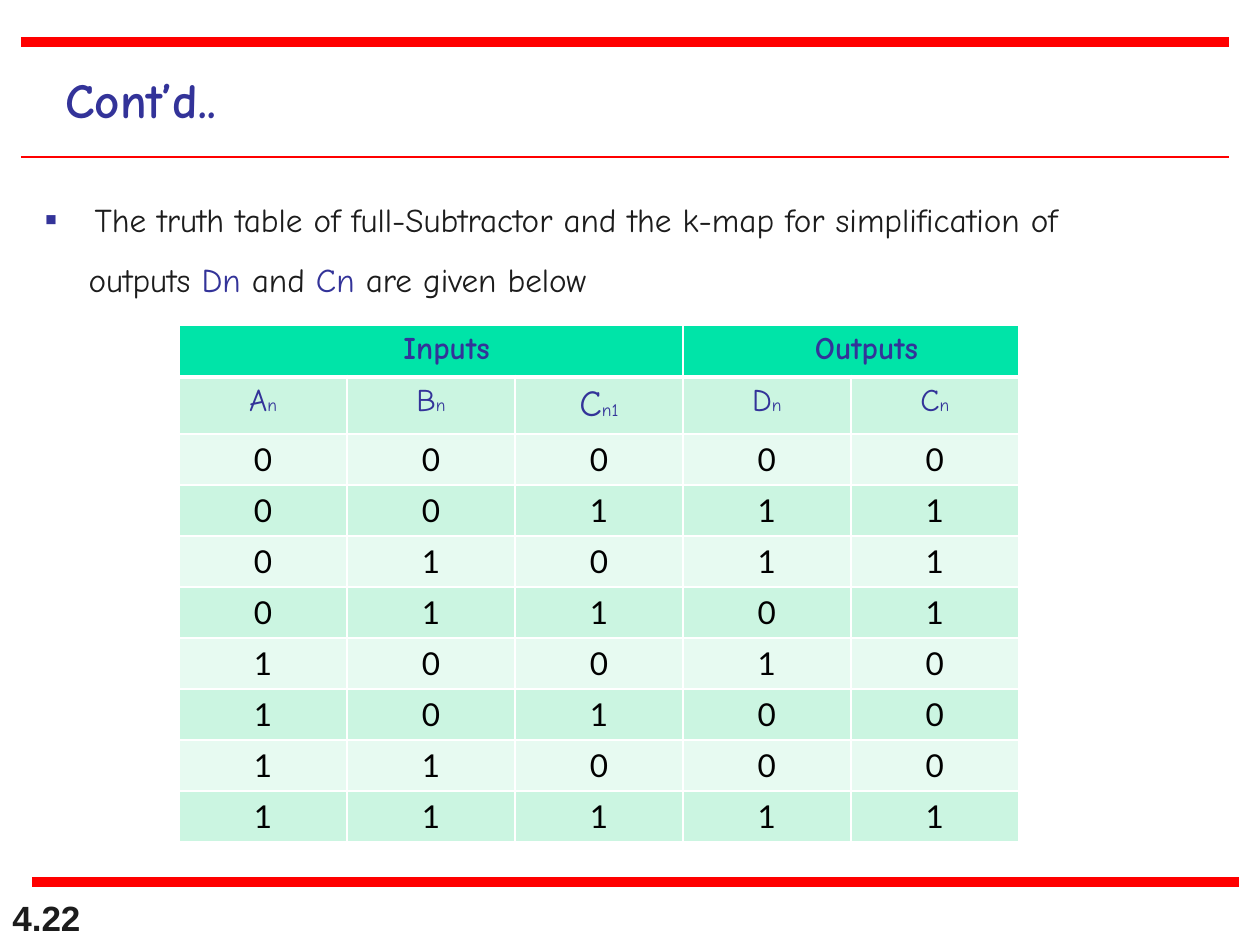
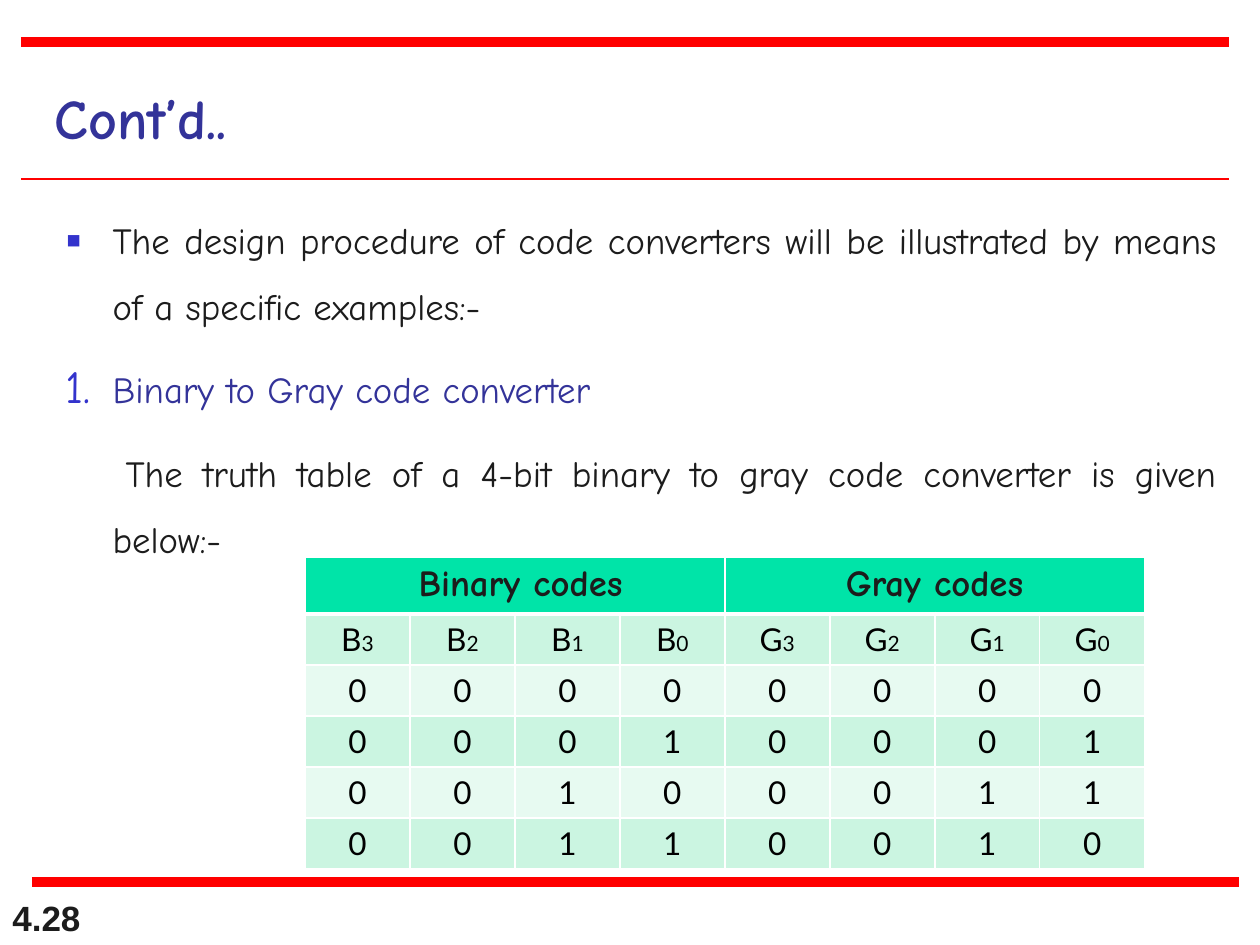
from dataclasses import dataclass
from typing import Any, NamedTuple

from lxml.etree import SubElement
from pptx import Presentation
from pptx.dml.color import RGBColor
from pptx.enum.shapes import MSO_CONNECTOR as Connector
from pptx.enum.text import MSO_ANCHOR as Anchor, MSO_AUTO_SIZE as AutoSize, PP_ALIGN as Align
from pptx.oxml.ns import qn
from pptx.util import Emu, Pt

PX_PER_INCH = 126
COLORS = {
    "red": "FF0000", "navy": "333399", "bullet": "3333CC", "ink": "1C1C1C",
    "black": "000000", "white": "FFFFFF", "head": "00E4A8",
    "band": "CBF5E1", "pale": "E7FAF1",
}
COMIC, LATO, ARIAL = "Comic Neue", "Lato", "Arial"


class Box(NamedTuple):
    left: int
    top: int
    width: int
    height: int


class Span(NamedTuple):
    text: str
    color: str = "ink"


class Label(NamedTuple):
    letter: str
    suffix: str
    size: int = 18


class Group(NamedTuple):
    text: str
    columns: int
    shift: int = 0


@dataclass
class Item:
    spans: list[Span]
    margin: int
    indent: int = 0
    bullet: str = ""
    bullet_color: str = "navy"
    bullet_percent: int = 110


@dataclass
class TruthTable:
    left: int
    top: int
    column_width: int
    row_heights: list[int]
    groups: list[Group]
    labels: list[Label]
    bits: list[str]
    head_format: dict[str, Any]
    label_format: dict[str, Any]
    suffix_size: int


@dataclass
class Lesson:
    number: str
    title_box: Box
    title_size: int
    rule_y: int
    body_box: Box
    body_size: int
    body_align: Align
    items: list[Item]
    table: TruthTable


def px(length: int) -> Emu:
    return Emu(round(length * 914400 / PX_PER_INCH))


def rgb(name: str) -> RGBColor:
    return RGBColor.from_string(COLORS[name])


def set_all(target: Any, values: dict[str, Any]) -> None:
    for name, value in values.items():
        setattr(target, name, value)


def add_span(para: Any, text: str, color: str, size: int, name: str, bold: bool = False) -> None:
    span = para.add_run()
    span.text = text
    set_all(span.font, {"size": Pt(size), "name": name, "bold": bold})
    span.font.color.rgb = rgb(color)


def place(shape: Any, box: Box, anchor: Anchor = Anchor.TOP) -> Any:
    set_all(shape, {name: px(value) for name, value in box._asdict().items()})
    frame = shape.text_frame
    set_all(frame, {"word_wrap": True, "auto_size": AutoSize.NONE, "vertical_anchor": anchor})
    return frame


def add_rule(page: Any, left: int, right: int, y: int, width: float) -> None:
    rule = page.shapes.add_connector(Connector.STRAIGHT, px(left), px(y), px(right), px(y))
    rule.line.color.rgb = rgb("red")
    rule.line.width = Pt(width)
    SubElement(rule._element.spPr, qn("a:effectLst"))


def set_bullet(para: Any, item: Item) -> None:
    props = para._p.get_or_add_pPr()
    props.set("marL", str(px(item.margin)))
    props.set("indent", str(px(item.indent)))
    if not item.bullet:
        SubElement(props, qn("a:buNone"))
        return
    color = SubElement(props, qn("a:buClr"))
    SubElement(color, qn("a:srgbClr"), val=COLORS[item.bullet_color])
    SubElement(props, qn("a:buSzPct"), val=str(item.bullet_percent * 1000))
    if item.bullet == "1.":
        SubElement(props, qn("a:buFont"), typeface=COMIC)
        SubElement(props, qn("a:buAutoNum"), type="arabicPeriod")
    else:
        SubElement(props, qn("a:buFont"), typeface=ARIAL)
        SubElement(props, qn("a:buChar"), char=item.bullet)


def fill_body(frame: Any, lesson: Lesson) -> None:
    # Only the justified list opens a gap between its items
    gap = 10 if lesson.body_align == Align.JUSTIFY else 0
    for index, item in enumerate(lesson.items):
        para = frame.add_paragraph() if index else frame.paragraphs[0]
        set_bullet(para, item)
        set_all(para, {"alignment": lesson.body_align, "line_spacing": 1.5,
                       "space_before": Pt(gap if index else 0), "space_after": Pt(0)})
        for text, color in item.spans:
            add_span(para, text, color, lesson.body_size, COMIC)


def style_cell(cell: Any, row: int) -> None:
    props = cell._tc.get_or_add_tcPr()
    thick = {"T": row == 1, "B": row == 0}
    for side in "LRTB":
        width = Pt(3 if thick.get(side) else 1)
        line = SubElement(props, qn(f"a:ln{side}"), w=str(width))
        SubElement(SubElement(line, qn("a:solidFill")), qn("a:srgbClr"), val=COLORS["white"])
    cell.fill.solid()
    cell.fill.fore_color.rgb = rgb("head" if row == 0 else "band" if row % 2 else "pale")
    cell.text_frame.paragraphs[0].alignment = Align.CENTER


def add_table(page: Any, spec_: TruthTable) -> None:
    heights, count = spec_.row_heights, len(spec_.labels)
    table = page.shapes.add_table(
        len(heights), count, px(spec_.left), px(spec_.top),
        px(spec_.column_width * count), px(sum(heights))).table
    set_all(table, {"first_row": False, "horz_banding": False})
    for column in table.columns:
        column.width = px(spec_.column_width)
    for row, height in enumerate(heights):
        table.rows[row].height = px(height)
        for column in range(count):
            style_cell(table.cell(row, column), row)

    # Group headings
    start = 0
    for group in spec_.groups:
        cell = table.cell(0, start)
        cell.merge(table.cell(0, start + group.columns - 1))
        cell.margin_left = px(12 + group.shift)
        add_span(cell.text_frame.paragraphs[0], group.text, bold=True, **spec_.head_format)
        start += group.columns

    # Variable names, then the bits
    for column, label in enumerate(spec_.labels):
        para = table.cell(1, column).text_frame.paragraphs[0]
        add_span(para, label.letter, size=label.size, **spec_.label_format)
        add_span(para, label.suffix, size=spec_.suffix_size, **spec_.label_format)
    for row, bits in enumerate(spec_.bits, start=2):
        for column, bit in enumerate(bits):
            add_span(table.cell(row, column).text_frame.paragraphs[0], bit, "black", 18, LATO)


def add_lesson(deck: Any, lesson: Lesson) -> None:
    page = deck.slides.add_slide(deck.slide_layouts[1])

    # Red rules and page number
    add_rule(page, 21, 1229, 42, 6)
    add_rule(page, 32, 1239, 882, 6)
    add_rule(page, 21, 1229, lesson.rule_y, 1.5)
    number = page.shapes.add_textbox(0, 0, 0, 0)
    frame = place(number, Box(0, 882, 262, 63), Anchor.BOTTOM)
    add_span(frame.paragraphs[0], lesson.number, "ink", 20, ARIAL, True)

    # Title, list and table
    title = place(page.shapes.title, lesson.title_box).paragraphs[0]
    title.alignment = Align.LEFT
    add_span(title, "Cont’d..", "navy", lesson.title_size, COMIC, True)
    fill_body(place(page.placeholders[1], lesson.body_box), lesson)
    add_table(page, lesson.table)


SUBTRACTOR = Lesson(
    number="4.22", title_box=Box(53, 63, 1187, 72), title_size=28, rule_y=157,
    body_box=Box(32, 173, 1228, 140), body_size=19, body_align=Align.LEFT,
    items=[
        Item([Span("The truth table of full-Subtractor and the k-map for simplification of")],
             50, -50, "▪"),
        Item([Span("outputs "), Span("Dn", "navy"), Span(" and "), Span("Cn", "navy"),
              Span(" are given below")], 44),
    ],
    table=TruthTable(
        left=179, top=325, column_width=168, row_heights=[52, 57] + [51] * 8,
        groups=[Group("Inputs", 3, 32), Group("Outputs", 2, 32)],
        labels=[Label("A", "n"), Label("B", "n"), Label("C", "n1", 21),
                Label("D", "n"), Label("C", "n")],
        bits=["00000", "00111", "01011", "01101", "10010", "10100", "11000", "11111"],
        head_format={"color": "navy", "size": 18, "name": COMIC},
        label_format={"color": "navy", "name": COMIC}, suffix_size=10),
)

GRAY_CODE = Lesson(
    number="4.28", title_box=Box(42, 77, 1187, 81), title_size=32, rule_y=179,
    body_box=Box(53, 189, 1176, 693), body_size=21, body_align=Align.JUSTIFY,
    items=[
        Item([Span("The design procedure of code converters will be illustrated by means "
                   "of a specific examples:-")], 47, -47, "▪", "bullet", 125),
        Item([Span("Binary to Gray code converter", "navy")], 47, -47, "1.", "bullet", 125),
        Item([Span("The truth table of a 4-bit binary to gray code converter is given "
                   "below:-")], 47, 13),
    ],
    table=TruthTable(
        left=305, top=557, column_width=105, row_heights=[57] + [51] * 5,
        groups=[Group("Binary codes", 4, 12), Group("Gray codes", 4)],
        labels=[Label(letter, digit) for letter in "BG" for digit in "3210"],
        bits=["00000000", "00010001", "00100011", "00110010"],
        head_format={"color": "ink", "size": 21, "name": COMIC},
        label_format={"color": "black", "name": LATO}, suffix_size=12),
)


def main() -> None:
    deck = Presentation()
    set_all(deck, {"slide_width": px(1260), "slide_height": px(945)})
    for lesson in (SUBTRACTOR, GRAY_CODE):
        add_lesson(deck, lesson)
    deck.save("out.pptx")


if __name__ == "__main__":
    main()
